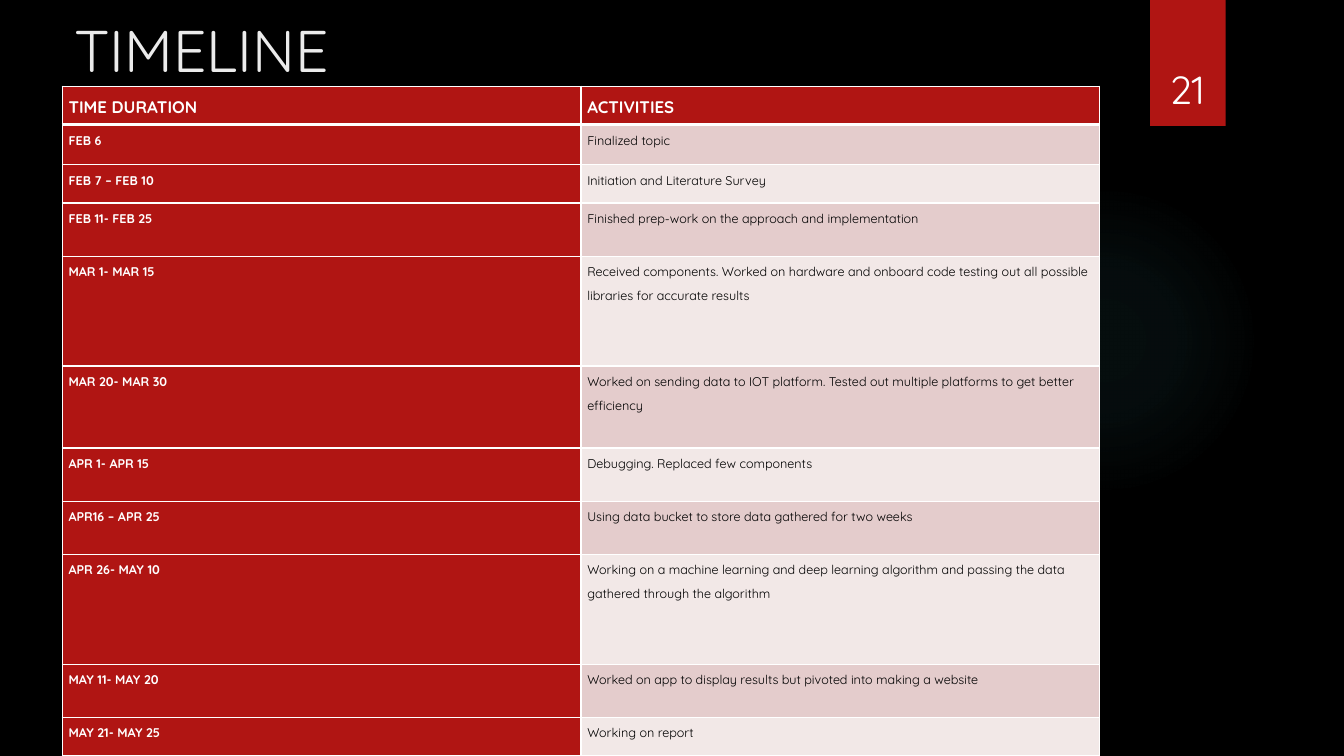
from lxml import etree
from pptx import Presentation
from pptx.dml.color import RGBColor
from pptx.enum.shapes import MSO_SHAPE
from pptx.enum.text import MSO_ANCHOR, PP_ALIGN
from pptx.oxml import parse_xml
from pptx.oxml.ns import nsdecls, qn
from pptx.util import Pt

RECT = MSO_SHAPE.RECTANGLE
OVAL = MSO_SHAPE.OVAL
TOP = MSO_ANCHOR.TOP
BOTTOM = MSO_ANCHOR.BOTTOM
LEFT = PP_ALIGN.LEFT
CENTER = PP_ALIGN.CENTER

COLORS = {
    "back": "000000",
    "red": "B01513",
    "title": "EBEBEB",
    "white": "FFFFFF",
    "ink": "000000",
    "odd": "E4CCCC",
    "even": "F2E8E7",
    "glow": "50B9C1",
}

ROWS = [
    (27.5, "TIME DURATION", "ACTIVITIES"),
    (28.5, "FEB 6", "Finalized topic"),
    (27.5, "FEB 7 – FEB 10", "Initiation and Literature Survey"),
    (38, "FEB 11- FEB 25", "Finished prep-work on the approach and implementation"),
    (78.5, "MAR 1- MAR 15", "Received components. Worked on hardware and onboard code "
                            "testing out all possible libraries for accurate results"),
    (58.5, "MAR 20- MAR 30", "Worked on sending data to IOT platform. Tested out "
                             "multiple platforms to get better efficiency"),
    (38, "APR 1- APR 15", "Debugging. Replaced few components"),
    (38, "APR16 – APR 25", "Using data bucket to store data gathered for two weeks"),
    (78.5, "APR 26- MAY 10", "Working on a machine learning and deep learning algorithm "
                             "and passing the data gathered through the algorithm"),
    (38, "MAY 11- MAY 20", "Worked on app to display results but pivoted into making a website"),
    (27.5, "MAY 21- MAY 25", "Working on report"),
]


class Deck:
    font = "Quicksand"

    def __init__(self):
        self.prs = Presentation()
        self.prs.slide_width, self.prs.slide_height = Pt(960), Pt(540)
        self.slide = self.prs.slides.add_slide(self.prs.slide_layouts[6])
        self.paint(self.slide.background.fill, "back")

    def paint(self, fill, color):
        fill.solid()
        fill.fore_color.rgb = RGBColor.from_string(COLORS[color])

    def style(self, para, size, color, bold=False):
        for run in para.runs:
            run.font.name = self.font
            run.font.size = Pt(size)
            run.font.bold = bold
            run.font.color.rgb = RGBColor.from_string(COLORS[color])

    def shape(self, kind, box, color):
        item = self.slide.shapes.add_shape(kind, *map(Pt, box))
        item.shadow.inherit = False
        item.line.fill.background()
        self.paint(item.fill, color)
        return item

    def glow(self, box, color, stops):
        item = self.shape(OVAL, box, color)
        marks = "".join(
            f'<a:gs pos="{pos * 1000}"><a:srgbClr val="{COLORS[color]}">'
            f'<a:alpha val="{alpha * 1000}"/></a:srgbClr></a:gs>'
            for pos, alpha in stops)
        grad = parse_xml(
            f'<a:gradFill {nsdecls("a")}><a:gsLst>{marks}</a:gsLst><a:path path="circle">'
            '<a:fillToRect l="50000" t="50000" r="50000" b="50000"/></a:path></a:gradFill>')
        props = item.element.spPr
        props.replace(props.find(qn("a:solidFill")), grad)

    def text(self, box, words, size, color, anchor=TOP, align=LEFT):
        frame = self.slide.shapes.add_textbox(*map(Pt, box)).text_frame
        frame.word_wrap = True
        frame.vertical_anchor = anchor
        frame.text = words
        para = frame.paragraphs[0]
        para.alignment = align
        self.style(para, size, color)

    def border(self, cell, side, width):
        props = cell._tc.get_or_add_tcPr()
        line = etree.SubElement(props, qn(f"a:ln{side}"), w=str(Pt(width)))
        fill = etree.SubElement(line, qn("a:solidFill"))
        etree.SubElement(fill, qn("a:srgbClr"), val=COLORS["white"])

    def cell(self, cell, words, size, ink, fill, top, bottom):
        cell.margin_left = cell.margin_right = Pt(4.5)
        cell.margin_top = cell.margin_bottom = 0
        for side, width in zip("LRTB", (1, 1, top, bottom)):
            self.border(cell, side, width)
        self.paint(cell.fill, fill)
        cell.text_frame.text = words
        para = cell.text_frame.paragraphs[0]
        para.line_spacing = 1.5
        self.style(para, size, ink, ink == "white")

    def table(self, left, top, width, rows):
        height = sum(row[0] for row in rows)
        grid = self.slide.shapes.add_table(
            len(rows), 2, Pt(left), Pt(top), Pt(width), Pt(height)).table
        for r, (tall, *texts) in enumerate(rows):
            grid.rows[r].height = Pt(tall)
            for c, words in enumerate(texts):
                solid = r == 0 or c == 0
                band = "odd" if r % 2 else "even"
                self.cell(grid.cell(r, c), words, 9 if r else 12,
                          "white" if solid else "ink", "red" if solid else band,
                          3 if r == 1 else 1, 1 if r else 3)


def main():
    deck = Deck()
    deck.glow((677.5, 132, 222, 222), "glow", [(0, 7), (36, 6), (69, 0)])
    deck.shape(RECT, (821.5, 0, 54, 90), "red")
    deck.text((46, 6.5, 741, 110), "TIMELINE", 42, "title")
    deck.text((815, 23, 66, 60.5), "21", 28, "white", BOTTOM, CENTER)
    deck.table(44.5, 61.5, 741, ROWS)
    deck.prs.save("out.pptx")


if __name__ == "__main__":
    main()
